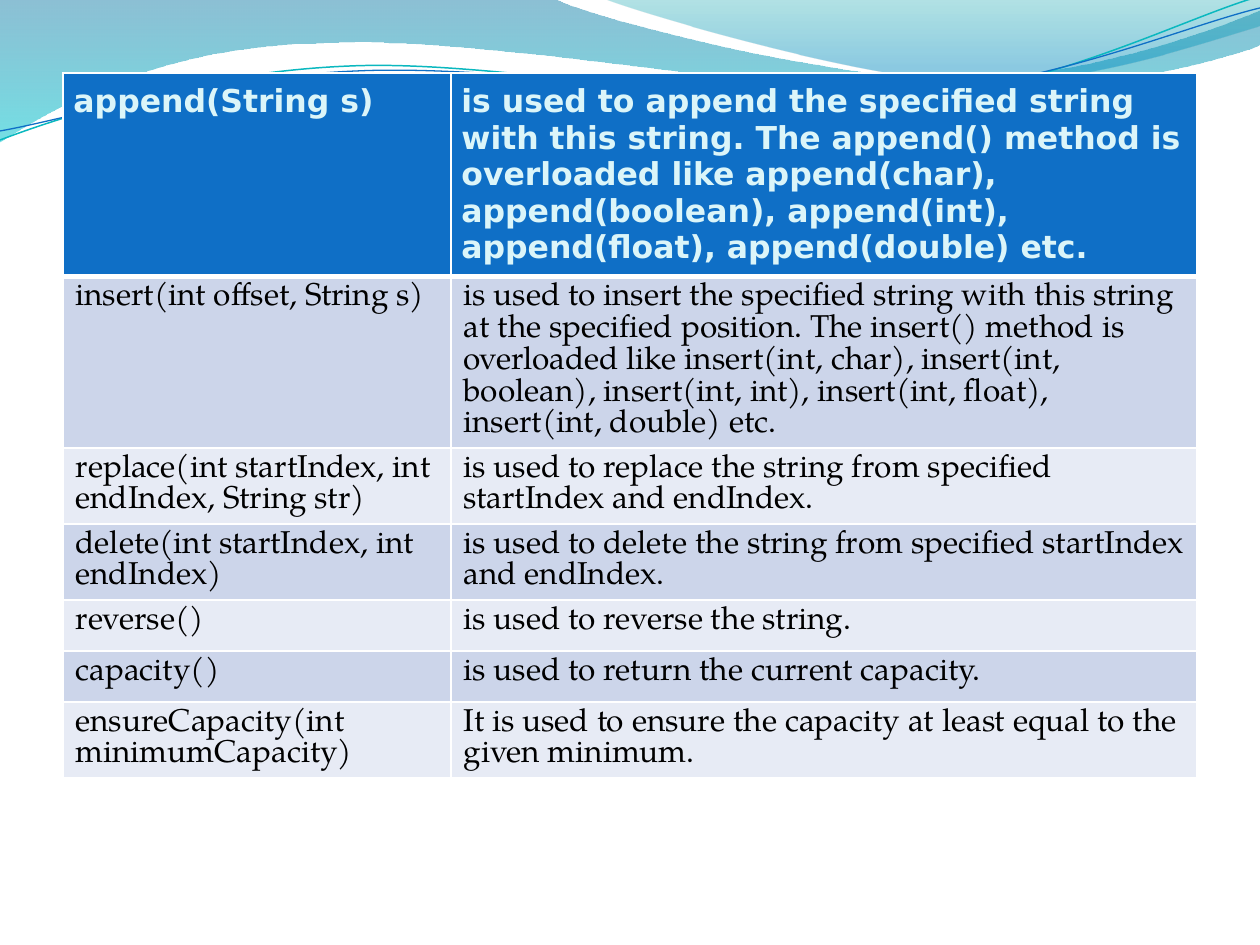
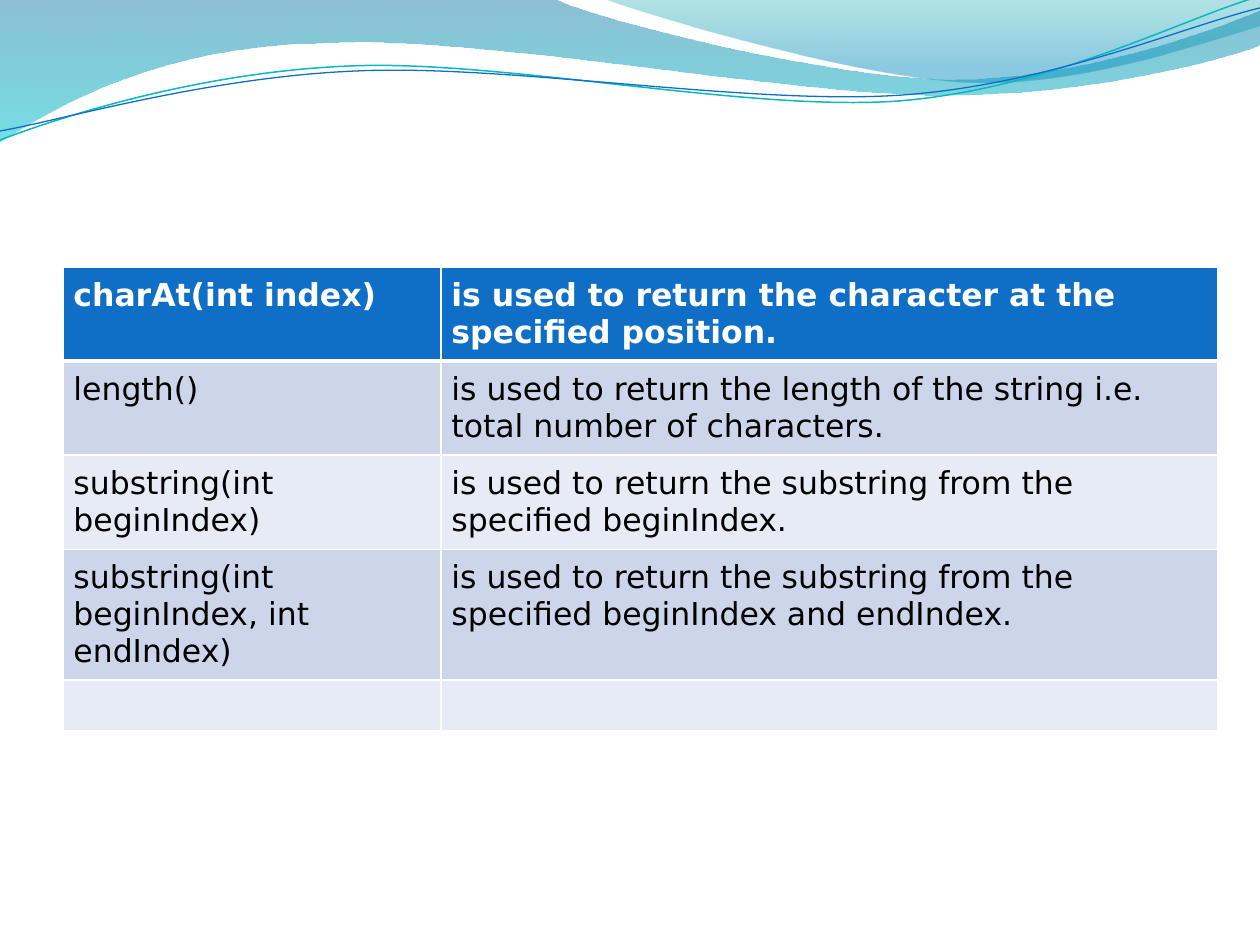
from dataclasses import dataclass

from lxml.etree import SubElement
from pptx import Presentation
from pptx.dml.color import RGBColor
from pptx.oxml.ns import qn
from pptx.util import Pt

# Content: the first row of each table is its header
PAGES = [
    {
        "left": 63, "top": 73, "height": 779, "columns": (388, 746),
        "header_color": "DBF5F9", "body_font": "TeX Gyre Pagella",
        "body_insets": (7.2, 3.6),
        "rows": [
            ("append(String s)",
             "is used to append the specified string with this string. "
             "The append() method is overloaded like append(char), "
             "append(boolean), append(int), append(float), append(double) etc."),
            ("insert(int offset, String s)",
             "is used to insert the specified string with this string at the "
             "specified position. The insert() method is overloaded like "
             "insert(int, char), insert(int, boolean), insert(int, int), "
             "insert(int, float), insert(int, double) etc."),
            ("replace(int startIndex, int endIndex, String str)",
             "is used to replace the string from specified startIndex and endIndex."),
            ("delete(int startIndex, int endIndex)",
             "is used to delete the string from specified startIndex and endIndex."),
            ("reverse()", "is used to reverse the string."),
            ("capacity()", "is used to return the current capacity."),
            ("ensureCapacity(int minimumCapacity)",
             "It is used to ensure the capacity at least equal to the given minimum."),
        ],
    },
    {
        "left": 63, "top": 267, "height": 475, "columns": (378, 777),
        "header_color": "FFFFFF", "body_font": "DejaVu Sans",
        "body_insets": (6, 6),
        "rows": [
            ("charAt(int index)",
             "is used to return the character at the specified position."),
            ("length()",
             "is used to return the length of the string i.e. "
             "total number of characters."),
            ("substring(int beginIndex)",
             "is used to return the substring from the specified beginIndex."),
            ("substring(int beginIndex, int endIndex)",
             "is used to return the substring from the specified "
             "beginIndex and endIndex."),
            ("", ""),
        ],
    },
]

# Waves: a step of one point is a straight line, one of three a Bezier curve.
# Gradient stops are (position, colour, opacity in percent).
BANDS = [
    {"start": (0, 0),
     "steps": [[(554, -1)],
               [(600, 21), (837, 79), (955, 79)],
               [(1075, 79), (1207, 33), (1260, 11)],
               [(1261, 45)],
               [(1239, 55), (1096, 96), (940, 95)],
               [(784, 95), (481, 35), (324, 43)],
               [(163, 45), (58, 105), (-1, 142)],
               [(0, 0)]],
     "stops": [(0, "0074A1", 45), (1, "00C6CF", 55)]},
    {"start": (604, -1),
     "steps": [[(641, 14), (859, 78), (969, 82)],
               [(1079, 87), (1211, 40), (1260, 26)],
               [(1260, 0)],
               [(604, -1)]],
     "stops": [(0, "00A1A9", 30), (0.8, "008BBF", 45)]},
]
RIPPLES = [
    {"start": (0, 140), "color": "0AB8BF", "width": 0.85,
     "steps": [[(60, 117), (199, 72), (349, 66)],
               [(498, 59), (747, 112), (898, 101)],
               [(1050, 89), (1182, 19), (1257, -3)]]},
    {"start": (0, 131), "color": "0F6FC6", "width": 0.75,
     "steps": [[(59, 121), (207, 77), (357, 71)],
               [(508, 64), (752, 106), (903, 95)],
               [(1053, 84), (1185, 26), (1260, 8)]]},
]


@dataclass(frozen=True)
class Theme:
    header_fill: str = "0F6FC6"
    body_fills: tuple = ("CCD5EA", "E7EBF5")
    body_color: str = "000000"
    border: str = "FFFFFF"
    thin: float = 1
    thick: float = 3
    size: int = 18
    header_font: str = "DejaVu Sans"
    header_insets: tuple = (6, 6)


THEME = Theme()
SCALE = 914400 / 126
ROW_HEIGHT = 51


def emu(pixels):
    return round(pixels * SCALE)


def rgb(color):
    return RGBColor.from_string(color)


def set_all(target, values):
    for name, value in values.items():
        setattr(target, name, value)


def draw_outline(page, wave, close):
    """Join the ends of the steps, then bend the curved ones."""
    builder = page.shapes.build_freeform(*map(emu, wave["start"]), scale=1.0)
    ends = [tuple(map(emu, step[-1])) for step in wave["steps"]]
    builder.add_line_segments(ends, close=close)
    shape = builder.convert_to_shape()
    shape.shadow.inherit = False
    segments = list(shape.element.iter(qn("a:lnTo")))
    for segment, step in zip(segments, wave["steps"]):
        if len(step) == 3:
            curve = segment.makeelement(qn("a:cubicBezTo"))
            for x, y in step:
                SubElement(curve, qn("a:pt"), x=str(emu(x) - shape.left),
                           y=str(emu(y) - shape.top))
            segment.getparent().replace(segment, curve)
    return shape


def draw_waves(page):
    for band in BANDS:
        shape = draw_outline(page, band, close=True)
        shape.line.fill.background()
        shape.fill.gradient()
        shape.fill.gradient_angle = 270
        for stop, (position, color, _) in zip(shape.fill.gradient_stops, band["stops"]):
            stop.position = position
            stop.color.rgb = rgb(color)
        for node, (_, _, opacity) in zip(shape.element.iter(qn("a:srgbClr")), band["stops"]):
            SubElement(node, qn("a:alpha"), val=str(opacity * 1000))
    for ripple in RIPPLES:
        shape = draw_outline(page, ripple, close=False)
        shape.fill.background()
        shape.line.color.rgb = rgb(ripple["color"])
        shape.line.width = Pt(ripple["width"])


def set_borders(cell, row):
    # The heavy rule lies between the header and the first body row
    widths = {"L": THEME.thin, "R": THEME.thin,
              "T": THEME.thick if row == 1 else THEME.thin,
              "B": THEME.thick if row == 0 else THEME.thin}
    properties = cell._tc.get_or_add_tcPr()
    for side, width in widths.items():
        line = SubElement(properties, qn(f"a:ln{side}"), w=str(Pt(width)))
        SubElement(SubElement(line, qn("a:solidFill")), qn("a:srgbClr"), val=THEME.border)


def fill_cell(cell, row, text, content):
    header = row == 0
    set_borders(cell, row)
    cell.fill.solid()
    cell.fill.fore_color.rgb = rgb(
        THEME.header_fill if header else THEME.body_fills[(row - 1) % 2])
    if not text:
        return
    side, end = map(Pt, THEME.header_insets if header else content["body_insets"])
    set_all(cell, {"margin_left": side, "margin_right": side,
                   "margin_top": end, "margin_bottom": end})
    span = cell.text_frame.paragraphs[0].add_run()
    span.text = text
    set_all(span.font, {"size": Pt(THEME.size), "bold": header,
                        "name": THEME.header_font if header else content["body_font"]})
    span.font.color.rgb = rgb(content["header_color"] if header else THEME.body_color)


def draw_table(page, content):
    rows, columns = content["rows"], content["columns"]
    frame = page.shapes.add_table(
        len(rows), len(columns), emu(content["left"]), emu(content["top"]),
        emu(sum(columns)), emu(content["height"]))
    table = frame.table
    for column, width in zip(table.columns, columns):
        column.width = emu(width)
    for row, texts in enumerate(rows):
        table.rows[row].height = emu(ROW_HEIGHT)
        for column, text in enumerate(texts):
            fill_cell(table.cell(row, column), row, text, content)
    frame.height = emu(content["height"])


# Build the deck
deck = Presentation()
set_all(deck, {"slide_width": emu(1260), "slide_height": emu(945)})
for content in PAGES:
    page = deck.slides.add_slide(deck.slide_layouts[6])
    draw_waves(page)
    draw_table(page, content)
deck.save("out.pptx")
